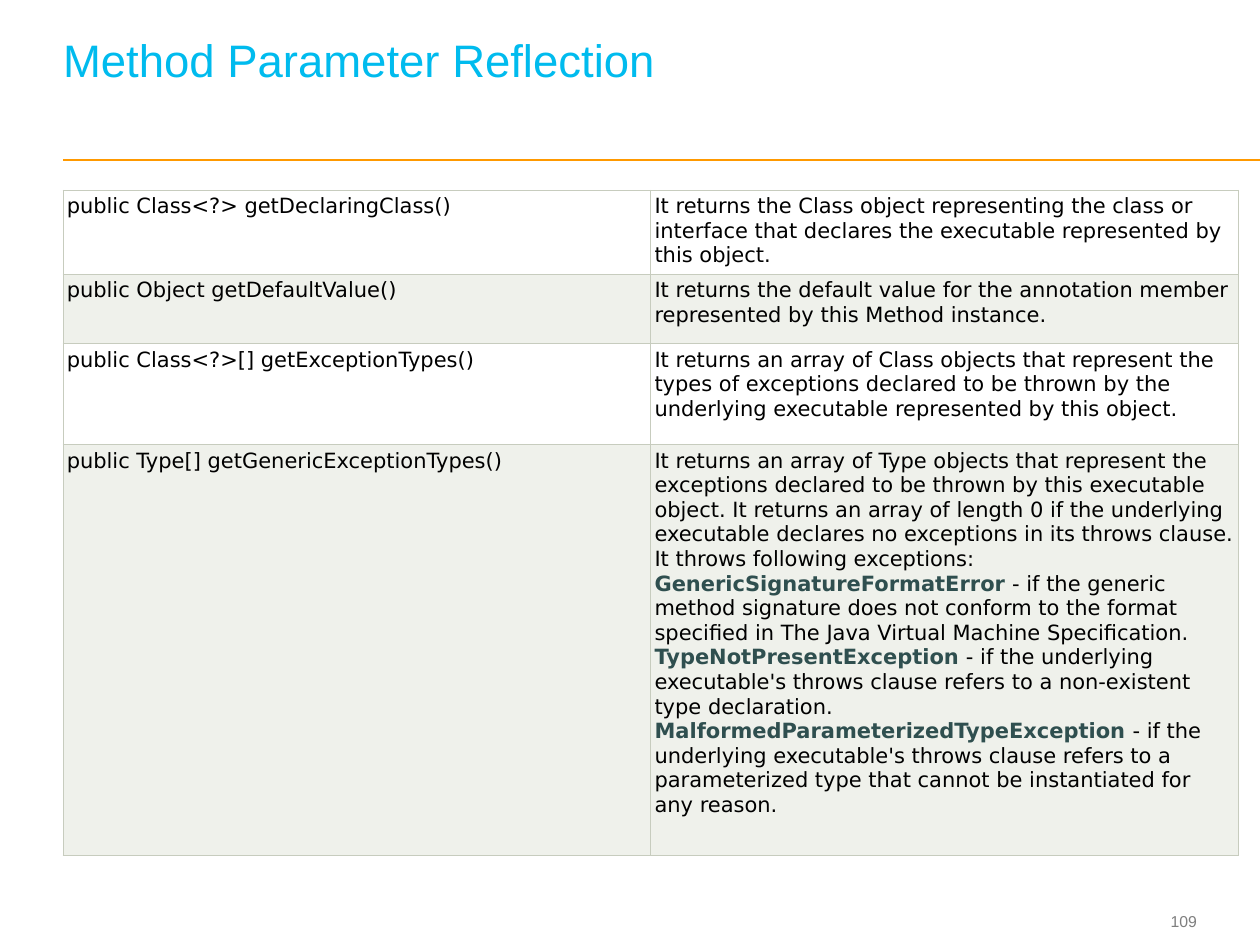
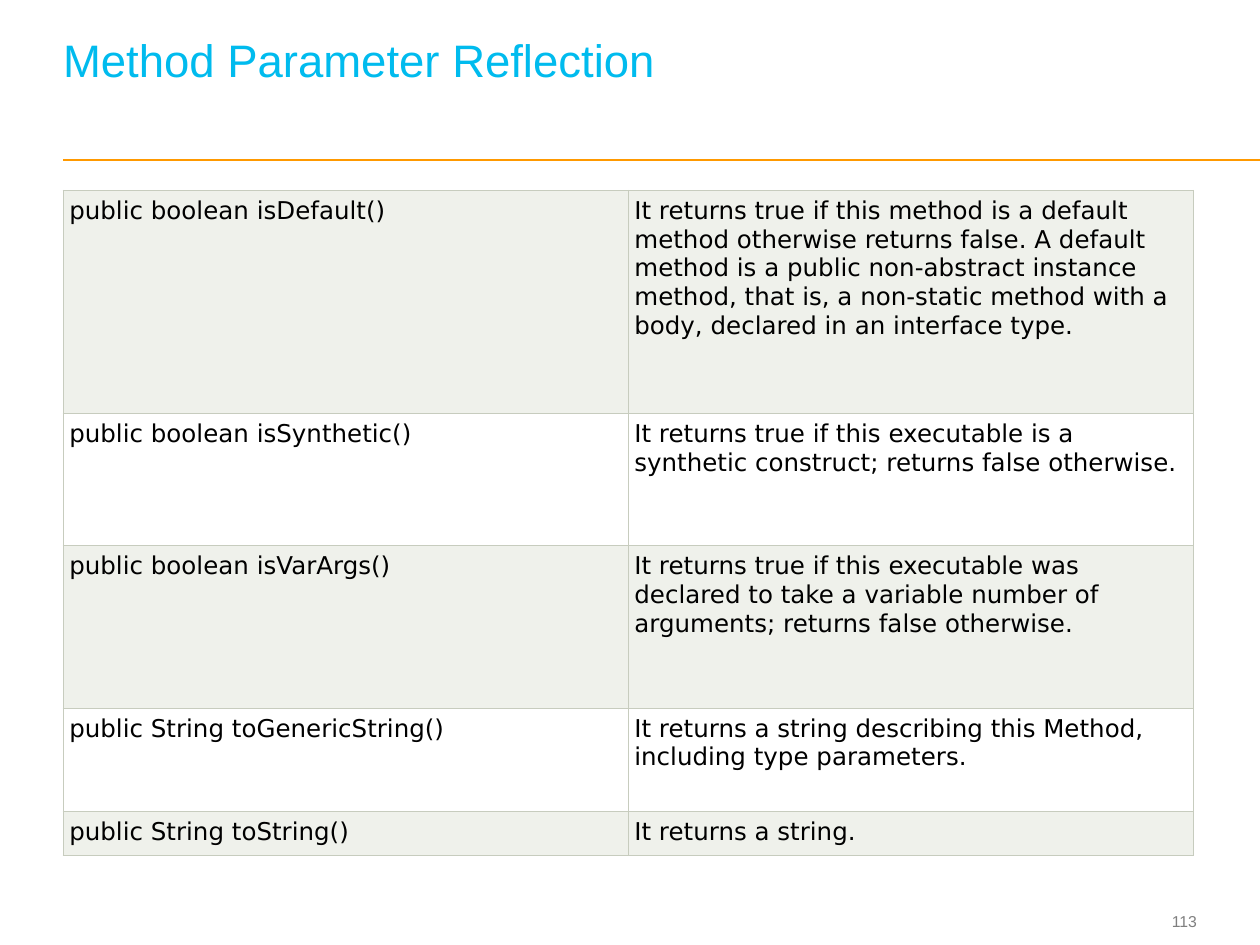
from lxml import etree
from pptx import Presentation
from pptx.dml.color import RGBColor
from pptx.enum.shapes import MSO_CONNECTOR
from pptx.enum.text import MSO_ANCHOR, MSO_AUTO_SIZE, PP_ALIGN
from pptx.oxml import parse_xml
from pptx.oxml.ns import nsdecls, qn
from pptx.util import Inches, Pt

STRAIGHT = MSO_CONNECTOR.STRAIGHT
BOTTOM, MIDDLE = MSO_ANCHOR.BOTTOM, MSO_ANCHOR.MIDDLE
LEFT, RIGHT = PP_ALIGN.LEFT, PP_ALIGN.RIGHT
NO_FIT = MSO_AUTO_SIZE.NONE

COLORS = {"title": "00BBEE", "rule": "FF9900", "number": "7F7F7F", "text": "000000",
          "exception": "2F4F4F", "border": "C7CCBE", "white": "FFFFFF", "band": "EFF1EB"}
RGB = {name: RGBColor.from_string(value) for name, value in COLORS.items()}
TITLE_FONT, TABLE_FONT = "Arial", "DejaVu Sans"
MARGIN = 0.5

# Exception names stand between ** marks.
SLIDES = [
    {"number": "109", "width": 9.33, "size": 12, "inset": 0.03, "bands": ("white", "band"),
     "rows": [
         (0.67, "public Class<?> getDeclaringClass()",
          "It returns the Class object representing the class or interface that declares "
          "the executable represented by this object."),
         (0.55, "public Object getDefaultValue()",
          "It returns the default value for the annotation member represented by this "
          "Method instance."),
         (0.8, "public Class<?>[] getExceptionTypes()",
          "It returns an array of Class objects that represent the types of exceptions "
          "declared to be thrown by the underlying executable represented by this object."),
         (3.26, "public Type[] getGenericExceptionTypes()",
          "It returns an array of Type objects that represent the exceptions declared to be "
          "thrown by this executable object. It returns an array of length 0 if the "
          "underlying executable declares no exceptions in its throws clause. It throws "
          "following exceptions: **GenericSignatureFormatError** - if the generic method "
          "signature does not conform to the format specified in The Java Virtual Machine "
          "Specification. **TypeNotPresentException** - if the underlying executable's "
          "throws clause refers to a non-existent type "
          "declaration. **MalformedParameterizedTypeException** - if the underlying "
          "executable's throws clause refers to a parameterized type that cannot be "
          "instantiated for any reason."),
     ]},
    {"number": "113", "width": 8.97, "size": 14, "inset": 0.05, "bands": ("band", "white"),
     "rows": [
         (1.77, "public boolean isDefault()",
          "It returns true if this method is a default method otherwise returns false. "
          "A default method is a public non-abstract instance method, that is, a non-static "
          "method with a body, declared in an interface type."),
         (1.05, "public boolean isSynthetic()",
          "It returns true if this executable is a synthetic construct; returns false "
          "otherwise."),
         (1.29, "public boolean isVarArgs()",
          "It returns true if this executable was declared to take a variable number of "
          "arguments; returns false otherwise."),
         (0.82, "public String toGenericString()",
          "It returns a string describing this Method, including type parameters."),
         (0.35, "public String toString()", "It returns a string."),
     ]},
]


def set_frame(tf, anchor, bottom=0):
    tf.word_wrap = True
    tf.auto_size = NO_FIT
    tf.vertical_anchor = anchor
    tf.margin_left = tf.margin_right = tf.margin_top = 0
    tf.margin_bottom = Inches(bottom)


def fill_cell(cell, text, size, inset, color):
    """Border, fill and write one cell; text between ** marks is an exception name."""
    tc_pr = cell._tc.get_or_add_tcPr()
    for side in ("lnL", "lnR", "lnT", "lnB"):
        tc_pr.append(parse_xml(
            f'<a:{side} {nsdecls("a")} w="{Pt(0.6)}"><a:solidFill>'
            f'<a:srgbClr val="{COLORS["border"]}"/></a:solidFill></a:{side}>'))
    cell.fill.solid()
    cell.fill.fore_color.rgb = RGB[color]
    cell.margin_left = cell.margin_right = Inches(inset)
    cell.margin_top = cell.margin_bottom = Inches(inset)
    p = cell.text_frame.paragraphs[0]
    for i, part in enumerate(text.split("**")):
        is_exception = i % 2 == 1
        r = p.add_run()
        r.text = part
        r.font.name, r.font.size, r.font.bold = TABLE_FONT, Pt(size), is_exception
        r.font.color.rgb = RGB["exception" if is_exception else "text"]


prs = Presentation()
prs.slide_width, prs.slide_height = Inches(10), Inches(7.5)

for content in SLIDES:
    s = prs.slides.add_slide(prs.slide_layouts[5])

    rule = s.shapes.add_connector(STRAIGHT, Inches(MARGIN), Inches(1.27),
                                  Inches(10), Inches(1.27))
    rule.line.color.rgb = RGB["rule"]
    rule.line.width = Pt(1)
    etree.SubElement(rule._element.spPr, qn("a:effectLst"))

    number = s.shapes.add_textbox(Inches(8.91), Inches(7.18), Inches(0.59), Inches(0.27))
    set_frame(number.text_frame, MIDDLE)
    p = number.text_frame.paragraphs[0]
    p.text = content["number"]
    p.alignment = RIGHT
    font = p.runs[0].font
    font.name, font.size, font.color.rgb = TITLE_FONT, Pt(9), RGB["number"]

    title = s.shapes.title
    title.left, title.top = Inches(MARGIN), Inches(0.19)
    title.width, title.height = Inches(8.97), Inches(0.86)
    set_frame(title.text_frame, BOTTOM, bottom=0.36)
    p = title.text_frame.paragraphs[0]
    p.text = "Method Parameter Reflection"
    p.alignment = LEFT
    p.line_spacing = Pt(26)
    font = p.runs[0].font
    font.name, font.size, font.color.rgb = TITLE_FONT, Pt(26), RGB["title"]

    rows = content["rows"]
    height = sum(row[0] for row in rows)
    table = s.shapes.add_table(len(rows), 2, Inches(MARGIN), Inches(1.51),
                               Inches(content["width"]), Inches(height)).table
    table.first_row = table.horz_banding = False
    for i, (row_height, *texts) in enumerate(rows):
        table.rows[i].height = Inches(row_height)
        for j, text in enumerate(texts):
            fill_cell(table.cell(i, j), text, content["size"], content["inset"],
                      content["bands"][i % 2])

prs.save("out.pptx")
